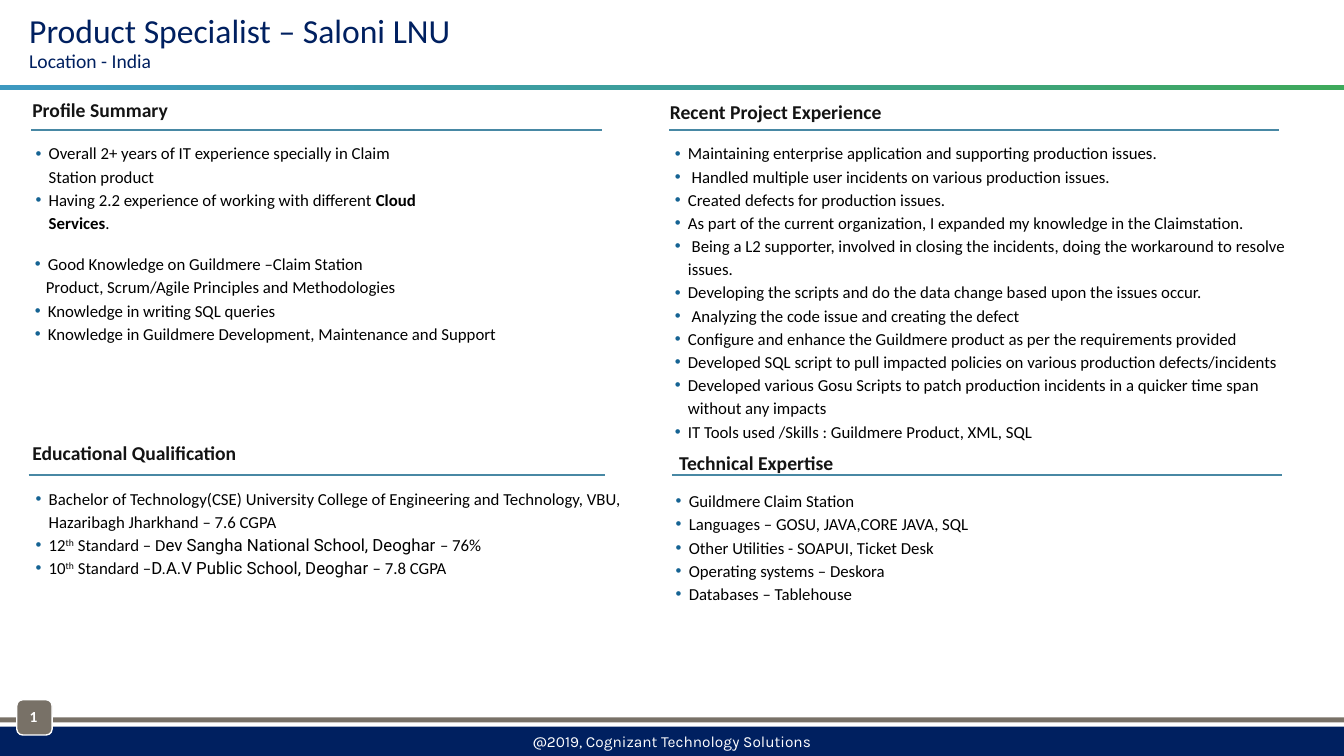
from copy import deepcopy
from dataclasses import dataclass

from lxml import etree
from pptx import Presentation
from pptx import util as u
from pptx.dml.color import RGBColor
from pptx.enum import shapes, text
from pptx.oxml import ns


@dataclass
class Theme:
    navy: str = "002060"
    teal: str = "4888A4"
    dot: str = "156393"
    taupe: str = "787167"
    ink: str = "141414"
    black: str = "000000"
    white: str = "FFFFFF"
    fade: tuple = ("3D99C0", "3C9E9A", "3EA95B")
    font: str = "Calibri"
    alt: str = "Roboto"
    foot: str = "Karla"
    big: int = 24
    head: int = 14
    body: int = 12
    small: int = 11


look = Theme()
deck = Presentation()
deck.slide_width, deck.slide_height = u.Inches(13.33), u.Inches(7.5)
slide = deck.slides.add_slide(deck.slide_layouts[6])

# Grid of 160 columns by 90 rows
COL = deck.slide_width / 160
ROW = deck.slide_height / 90
BREAK = None


def place(col, row, wide, high):
    """Turn grid cells into left, top, width and height."""
    return round(col * COL), round(row * ROW), round(wide * COL), round(high * ROW)


def write(para, runs, size, color, bold=False, font=look.font):
    """Add runs: plain strings, BREAK, or (string, style) pairs."""
    for item in runs:
        if item is BREAK:
            para.add_line_break()
            continue
        words, style = item if isinstance(item, tuple) else (item, {})
        run = para.add_run()
        run.text = words
        run.font.name = style.get("font", font)
        run.font.size = u.Pt(style.get("size", size))
        run.font.bold = style.get("bold", bold)
        run.font.color.rgb = RGBColor.from_string(color)
        if "raise" in style:
            run._r.get_or_add_rPr().set("baseline", style["raise"])


# Bars and page badge
KIND = shapes.MSO_SHAPE
bars = {}
for name, kind, spot, color in [
    ("foot", KIND.RECTANGLE, (0, 86.5, 160, 3.5), look.navy),
    ("top", KIND.RECTANGLE, (0, 10.1, 160, 0.6), None),
    ("base", KIND.RECTANGLE, (0, 85.4, 160, 0.6), look.taupe),
    ("badge", KIND.ROUNDED_RECTANGLE, (2, 83.3, 4.2, 4.2), look.taupe),
]:
    bar = bars[name] = slide.shapes.add_shape(kind, *place(*spot))
    bar.shadow.inherit = False
    bar.line.fill.background()
    if color:
        bar.fill.solid()
        bar.fill.fore_color.rgb = RGBColor.from_string(color)

fill = bars["top"].fill
fill.gradient()
fill.gradient_angle = 0
first = bars["top"]._element.xpath(".//a:gs")[0]
first.addnext(deepcopy(first))
for i, (stop, color) in enumerate(zip(fill.gradient_stops, look.fade)):
    stop.position = i / 2
    stop.color.rgb = RGBColor.from_string(color)

bars["badge"].line.color.rgb = RGBColor.from_string(look.white)
bars["badge"].line.width = u.Pt(1)

frame = bars["foot"].text_frame
frame.vertical_anchor = text.MSO_ANCHOR.MIDDLE
frame.paragraphs[0].alignment = text.PP_ALIGN.CENTER
write(frame.paragraphs[0], ["@2019, Cognizant Technology Solutions"],
      look.small, look.white, font=look.foot)

frame = slide.shapes.add_textbox(*place(1, 83.6, 6, 4.2)).text_frame
frame.word_wrap = True
frame.paragraphs[0].alignment = text.PP_ALIGN.CENTER
write(frame.paragraphs[0], ["1"], look.small, look.white, bold=True)

# Title
frame = slide.shapes.add_textbox(*place(0, 0.1, 160, 10)).text_frame
frame.word_wrap = True
frame.margin_left = u.Inches(0.29)
frame.vertical_anchor = text.MSO_ANCHOR.MIDDLE
frame.paragraphs[0].line_spacing = 0.95
write(frame.paragraphs[0],
      ["Product Specialist – Saloni LNU", BREAK,
       ("Location - India", {"size": look.head})], look.big, look.navy)

# Section heads: label, column, row
heads = [
    ("Profile Summary", 3, 11.2),
    ("Educational Qualification", 3, 52),
    ("Recent Project Experience", 78.9, 11.4),
    ("Technical Expertise", 80, 53.2),
]

# Rules: first column, last column, row
rules = [(3.7, 71.7, 15.5), (3.4, 72, 56.5), (79.7, 152.3, 15.5), (80, 152.6, 56.6)]
for start, end, row in rules:
    rule = slide.shapes.add_connector(
        shapes.MSO_CONNECTOR.STRAIGHT,
        round(start * COL), round(row * ROW), round(end * COL), round(row * ROW))
    rule.line.color.rgb = RGBColor.from_string(look.teal)
    rule.line.width = u.Pt(1.5)
    etree.SubElement(rule._element.spPr, ns.qn("a:effectLst"))

# Body lists: grid place, then one list of runs per paragraph
bold = {"bold": True}
alt = {"font": look.alt}
sup = {"raise": "30000"}
PLAIN = "Product, Scrum/Agile Principles and Methodologies"
lists = [
    ((3.4, 16.2, 49.4, 11.9), [
        ["Overall 2+ years of IT experience specially in Claim Station product"],
        ["Having 2.2 experience of working with different ",
         ("Cloud Services", bold), "."],
    ]),
    ((3.3, 29.4, 74.3, 11.9), [
        ["Good Knowledge on Guildmere –Claim Station"],
        [PLAIN],
        ["Knowledge in writing SQL queries"],
        ["Knowledge in Guildmere Development, Maintenance and Support"],
    ]),
    ((3.4, 57.3, 71.7, 11.9), [
        ["Bachelor of Technology(CSE) University College of Engineering and "
         "Technology, VBU, Hazaribagh Jharkhand – 7.6 CGPA"],
        ["12", ("th", sup), " Standard – D",
         ("ev Sangha National School, Deoghar ", alt), "– 76%"],
        ["10", ("th", sup), " Standard –",
         ("D.A.V Public School, Deoghar ", alt), "– 7.8 CGPA"],
    ]),
    ((79.5, 16.2, 76.5, 39.7), [
        ["Maintaining enterprise application and supporting production issues."],
        [" Handled multiple user incidents on various production issues."],
        ["Created defects for production issues."],
        ["As part of the current organization, I expanded my knowledge in the Claimstation."],
        [" Being a L2 supporter, involved in closing the incidents, doing the "
         "workaround to resolve", BREAK, "issues."],
        ["Developing the scripts and do the data change based upon the issues occur."],
        [" Analyzing the code issue and creating the defect"],
        ["Configure and enhance the Guildmere product as per the requirements provided"],
        ["Developed SQL script to pull impacted policies on various production "
         "defects/incidents"],
        ["Developed various Gosu Scripts to patch production incidents in a "
         "quicker time span without any impacts"],
        ["IT Tools used /Skills : Guildmere Product, XML, SQL"],
    ]),
    ((79.6, 57.6, 76.7, 14.9), [
        ["Guildmere Claim Station"],
        ["Languages – GOSU, JAVA,CORE JAVA, SQL"],
        ["Other Utilities - SOAPUI, Ticket Desk"],
        ["Operating systems – Deskora"],
        ["Databases – Tablehouse"],
    ]),
]

blocks = [((col, row, 45, 3.7), [[label]], True) for label, col, row in heads]
blocks += [(spot, paras, False) for spot, paras in lists]
for spot, paras, head in blocks:
    frame = slide.shapes.add_textbox(*place(*spot)).text_frame
    frame.word_wrap = True
    frame.auto_size = text.MSO_AUTO_SIZE.SHAPE_TO_FIT_TEXT
    frame.margin_left = frame.margin_right = u.Inches(0.07)
    frame.margin_top = frame.margin_bottom = u.Inches(0.04)
    for i, runs in enumerate(paras):
        para = frame.paragraphs[0] if i == 0 else frame.add_paragraph()
        if head:
            write(para, runs, look.head, look.ink, bold=True)
            continue
        para.line_spacing = 1.15
        props = para._p.get_or_add_pPr()
        if runs == [PLAIN]:
            props.set("marL", str(u.Inches(0.11)))
        else:
            props.set("marL", str(u.Inches(0.13)))
            props.set("indent", str(-u.Inches(0.13)))
            tint = etree.SubElement(props, ns.qn("a:buClr"))
            etree.SubElement(tint, ns.qn("a:srgbClr"), val=look.dot)
            etree.SubElement(props, ns.qn("a:buFont"), typeface="Arial")
            etree.SubElement(props, ns.qn("a:buChar"), char="•")
        write(para, runs, look.body, look.black)

deck.save("out.pptx")
